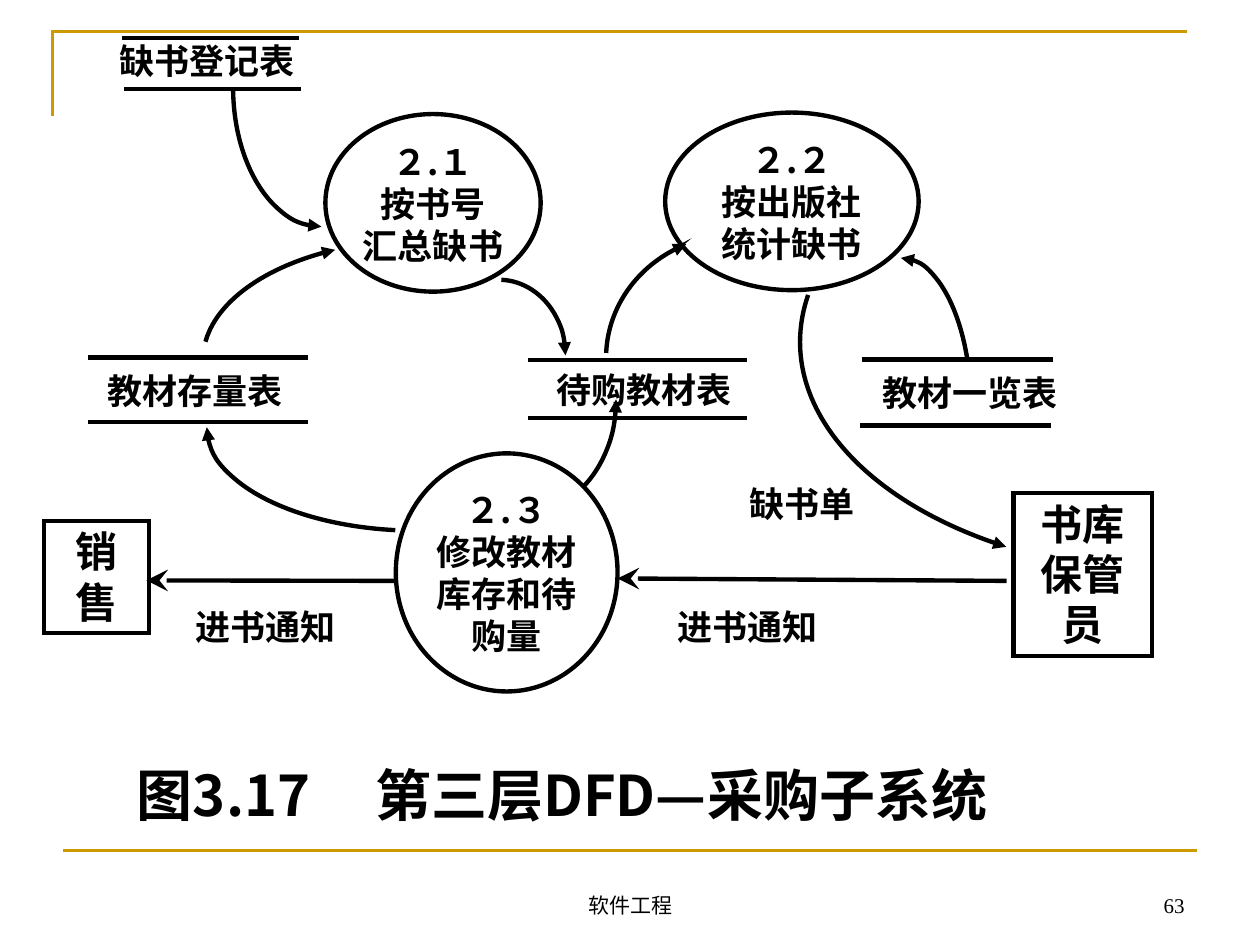
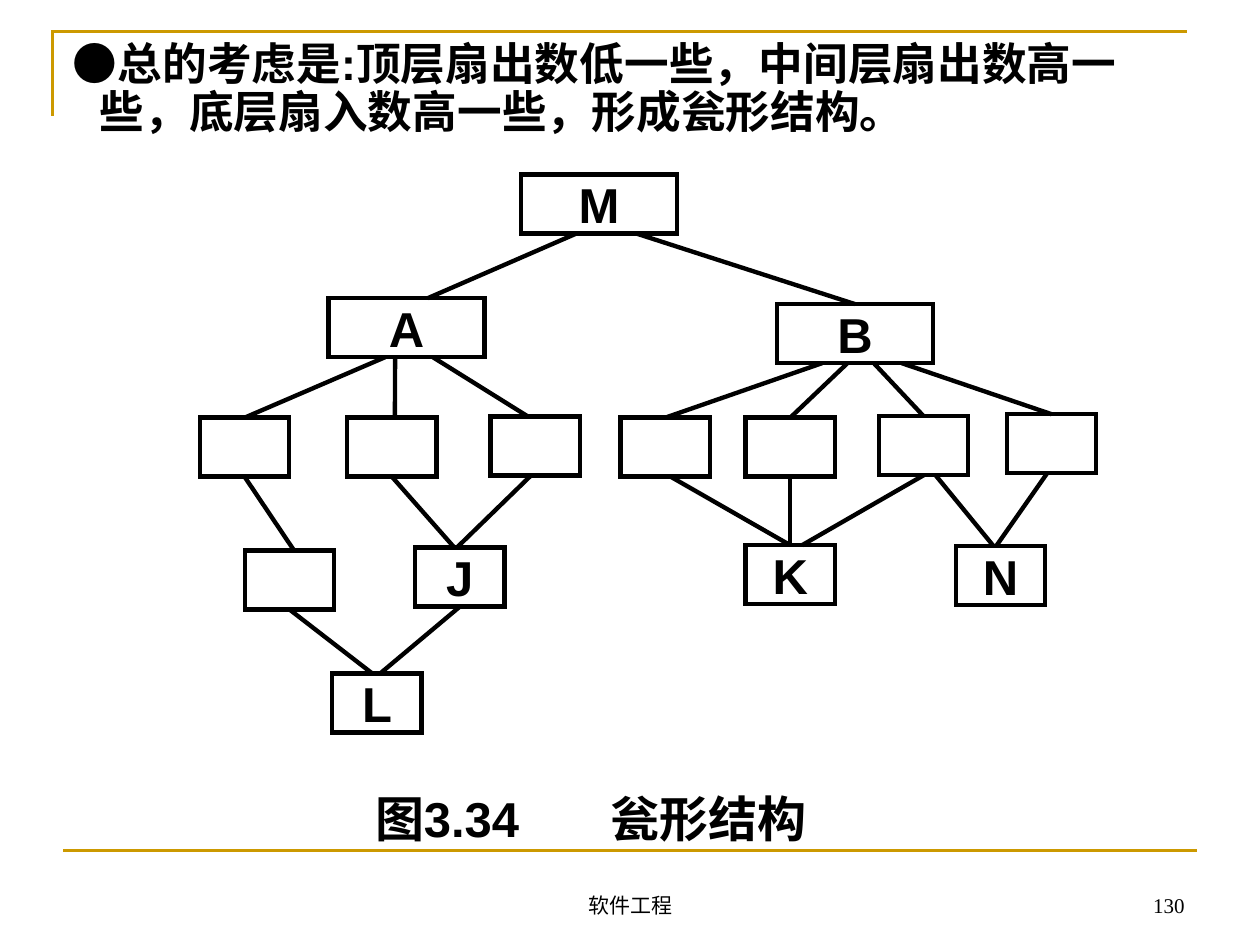
from lxml.etree import SubElement
from pptx import Presentation
from pptx.dml.color import RGBColor
from pptx.enum.shapes import MSO_CONNECTOR, MSO_SHAPE
from pptx.enum.text import MSO_ANCHOR, PP_ALIGN
from pptx.oxml.ns import qn
from pptx.util import Cm, Pt

BLACK, GOLD, WHITE = "000000", "CC9900", "FFFFFF"
CJK, SANS, SERIF = "Noto Sans CJK SC", "Arial", "Times New Roman"
LEFT, CENTER, RIGHT = PP_ALIGN.LEFT, PP_ALIGN.CENTER, PP_ALIGN.RIGHT
TOP, MIDDLE, BOTTOM = MSO_ANCHOR.TOP, MSO_ANCHOR.MIDDLE, MSO_ANCHOR.BOTTOM
TOP_SIDE, BOTTOM_SIDE = 0, 2
HEAD, TAIL = "a:headEnd", "a:tailEnd"


def rgb(color):
    return RGBColor.from_string(color)


def put_text(shape, text, size=20, font=CJK, bold=True, align=CENTER, anchor=TOP,
             inset=(0, 0), wrap=True, tab=None, hang=None, spacing=None):
    """Write text, one paragraph per line, into a shape. Lengths are in cm."""
    tf = shape.text_frame
    tf.word_wrap, tf.vertical_anchor = wrap, anchor
    tf.margin_left = tf.margin_right = Cm(inset[0])
    tf.margin_top = tf.margin_bottom = Cm(inset[1])
    for i, line_text in enumerate(text.split("\n")):
        p = tf.add_paragraph() if i else tf.paragraphs[0]
        p.alignment, p.space_before = align, Pt(0)
        if spacing:
            p.line_spacing = spacing
        pPr = p._p.get_or_add_pPr()
        if hang:
            pPr.set("marL", str(Cm(hang[0])))
            pPr.set("indent", str(Cm(hang[1])))
        if tab:
            tabs = SubElement(pPr, qn("a:tabLst"))
            SubElement(tabs, qn("a:tab"), pos=str(Cm(tab)), algn="l")
        r = p.add_run()
        r.text = line_text
        r.font.size, r.font.bold, r.font.name = Pt(size), bold, font
        r.font.color.rgb = rgb(BLACK)
        SubElement(r._r.get_or_add_rPr(), qn("a:ea"), typeface=CJK)


def text_box(s, x, y, w, h, text, **fmt):
    put_text(s.shapes.add_textbox(Cm(x), Cm(y), Cm(w), Cm(h)), text, **fmt)


def stroke(shape, color=BLACK, width=2.5, end=TAIL, arrow=None, arrow_size="med"):
    shape.line.color.rgb, shape.line.width = rgb(color), Pt(width)
    ln = shape._element.spPr.find(qn("a:ln"))
    SubElement(ln, qn("a:miter"), lim="800000")
    if arrow:
        SubElement(ln, qn(end), type=arrow, w=arrow_size, len=arrow_size)


def line(s, x1, y1, x2, y2, **fmt):
    c = s.shapes.add_connector(MSO_CONNECTOR.STRAIGHT, Cm(x1), Cm(y1), Cm(x2), Cm(y2))
    stroke(c, **fmt)
    SubElement(c._element.spPr, qn("a:effectLst"))
    return c


def corner(s, points, **fmt):
    """Open, unfilled outline through points in cm."""
    (x, y), *rest = [(Cm(px), Cm(py)) for px, py in points]
    builder = s.shapes.build_freeform(x, y, scale=1.0)
    builder.add_line_segments(rest, close=False)
    sp = builder.convert_to_shape()
    sp.fill.background()
    sp.shadow.inherit = False
    stroke(sp, **fmt)


def node(s, kind, x, y, w, h, text="", fill=None, **fmt):
    sp = s.shapes.add_shape(kind, Cm(x), Cm(y), Cm(w), Cm(h))
    sp.shadow.inherit = False
    if fill:
        sp.fill.solid()
        sp.fill.fore_color.rgb = rgb(fill)
    else:
        sp.fill.background()
    stroke(sp)
    if text:
        put_text(sp, text, **fmt)
    return sp


def arc_arrow(s, x, y, w, h, start, stop, end, rotation=0):
    """Clockwise arc of the ellipse in the box, from start to stop degrees."""
    sp = s.shapes.add_shape(MSO_SHAPE.ARC, Cm(x), Cm(y), Cm(w), Cm(h))
    for i, degrees in enumerate((start, stop)):
        sp.adjustments[i] = degrees * 0.6  # 60000 units a degree, scaled by 100000
    sp.rotation = rotation
    sp.fill.background()
    sp.shadow.inherit = False
    stroke(sp, end=end, arrow="triangle")


def new_slide(prs, number):
    """Title-only slide with the gold frame and the footer."""
    s = prs.slides.add_slide(prs.slide_layouts[5])
    corner(s, [(1.06, 2.33), (1.06, 0.63), (23.92, 0.63)], color=GOLD, width=1.5)
    line(s, 1.27, 17.15, 24.13, 17.15, color=GOLD, width=1.5)
    footer = dict(size=12, font=SERIF, bold=False, anchor=BOTTOM, inset=(0.25, 0.13))
    text_box(s, 8.68, 17.36, 8.05, 1.27, "软件工程", **footer)
    text_box(s, 18.21, 17.36, 5.92, 1.27, str(number), align=RIGHT, **footer)
    return s


def caption(s, x, y, w, h, text, **fmt):
    """Figure caption in the title placeholder; the tab parts number and name."""
    title = s.shapes.title
    title.left, title.top, title.width, title.height = Cm(x), Cm(y), Cm(w), Cm(h)
    put_text(title, text, align=LEFT, anchor=MIDDLE, inset=(0.2, 0.1), **fmt)


def label(s, center, y, text, w=1.8):
    text_box(s, center - w / 2, y, w, 0.84, text)


def data_store(s, x, y, w, h, text, dx, dy, skew=0):
    """Label between two rules; skew shifts the lower rule."""
    line(s, x, y, x + w, y)
    line(s, x + skew, y + h, x + w + skew, y + h)
    label(s, x + w / 2 + dx, y + dy, text, w=4.4)


def data_flow(s, x, y):
    # Data stores
    for sx, sy, w, h, text, dx, dy, skew in (
            (1.57, 0, 3.56, 1.04, "缺书登记表", -0.07, 0.03, 0.04),
            (0.89, 6.45, 4.42, 1.3, "教材存量表", -0.06, 0.23, 0),
            (9.75, 6.5, 4.42, 1.16, "待购教材表", 0.14, 0.16, 0),
            (16.48, 6.49, 3.86, 1.33, "教材一览表", 0.25, 0.24, -0.04)):
        data_store(s, x + sx, y + sy, w, h, text, dx, dy, skew)

    # Processes
    for px, py, w, h, text in (
            (7.09, 8.38, 4.47, 4.8, "２.３\n修改教材库存和待购量"),
            (5.67, 1.54, 4.34, 3.58, "２.１\n按书号\n汇总缺书"),
            (12.52, 1.51, 5.11, 3.58, "２.２\n按出版社\n统计缺书")):
        node(s, MSO_SHAPE.OVAL, x + px, y + py, w, h, text, fill=WHITE)

    # External entities
    for ex, ey, w, h, text in ((19.54, 9.18, 2.79, 3.28, "书库保管员"),
                               (0, 9.74, 2.11, 2.26, "销售")):
        node(s, MSO_SHAPE.RECTANGLE, x + ex, y + ey, w, h, text,
             size=24, inset=(0.23, 0.1))

    # Straight flows
    for x1, y1, x2, y2 in ((7.09, 10.95, 2.06, 10.94), (19.4, 10.95, 11.56, 10.9)):
        line(s, x + x1, y + y1, x + x2, y + y2, arrow="stealth", arrow_size="lg")

    # Curved flows
    for ax, ay, w, h, start, stop, end, rotation in (
            (3.81, -1.8, 3.56, 5.61, 90, 180, HEAD, 0),
            (3.2, 4.09, 8.69, 4.83, 185, 233, TAIL, 0),
            (7.82, 4.88, 2.69, 3.05, 272, 0, TAIL, 0),
            (11.33, 3.96, 5.36, 4.98, 182, 245, TAIL, 0),
            (14.22, 6.07, 6.1, 2.84, 180, 232, HEAD, 90),
            (15.24, 1.45, 15.75, 9.37, 132, 187, HEAD, 0),
            (3.28, 5.77, 8.48, 4.17, 102, 180, TAIL, 0),
            (8, 5.03, 3.53, 4.52, 0, 57, HEAD, 0)):
        arc_arrow(s, x + ax, y + ay, w, h, start, stop, end, rotation)

    # Flow labels
    for center, top, text in ((4.47, 11.45, "进书通知"), (14.18, 11.45, "进书通知"),
                              (15.27, 8.97, "缺书单")):
        label(s, x + center, y + top, text, w=3.8)


def link(s, upper, lower, dx1, dx2):
    """Line between facing sides, dx cm off their middles; joined where dx is 0."""
    c = line(s, (upper.left + upper.width / 2) / Cm(1) + dx1,
             (upper.top + upper.height) / Cm(1),
             (lower.left + lower.width / 2) / Cm(1) + dx2, lower.top / Cm(1))
    if not dx1:
        c.begin_connect(upper, BOTTOM_SIDE)
    if not dx2:
        c.end_connect(lower, TOP_SIDE)


def module_tree(s, x, y):
    # Modules: single-letter names show, numbered ones stay blank
    wide, narrow, height = 3.15, 1.8, 1.19
    places = {
        "M": (6.47, 0), "A": (2.59, 2.49), "B": (11.63, 2.61),
        "A1": (0, 4.9), "A2": (2.97, 4.9), "A3": (5.86, 4.88),
        "B1": (8.48, 4.9), "B2": (11, 4.9), "B3": (13.69, 4.87), "B4": (16.27, 4.83),
        "A4": (0.91, 7.58), "J": (4.34, 7.52), "K": (11, 7.47), "N": (15.24, 7.49),
        "L": (2.67, 10.06)}
    modules = {}
    for name, (mx, my) in places.items():
        modules[name] = node(
            s, MSO_SHAPE.RECTANGLE, x + mx, y + my, wide if name in "MAB" else narrow,
            height, name if len(name) == 1 else "", size=28, font=SANS,
            anchor=MIDDLE, inset=(0.2, 0.1), wrap=False)

    # Calls: caller, callee and the offset at each end
    for upper, lower, dx1, dx2 in (
            ("M", "A", -0.46, 0.43), ("M", "B", 0.76, 0),
            ("A", "A1", -0.43, 0), ("A", "A2", -0.23, 0.06), ("A", "A3", 0.53, -0.14),
            ("B", "B1", -0.66, 0), ("B", "B2", -0.15, 0),
            ("B", "B3", 0.38, 0), ("B", "B4", 0.94, 0),
            ("A1", "A4", 0, 0.09), ("A2", "J", 0, -0.11), ("A3", "J", -0.09, -0.06),
            ("B1", "K", 0.11, 0), ("B2", "K", 0, 0), ("B3", "K", 0, 0.24),
            ("B3", "N", 0.24, -0.14), ("B4", "N", -0.09, -0.09),
            ("A4", "L", 0, -0.09), ("J", "L", 0, 0.06)):
        link(s, modules[upper], modules[lower], dx1, dx2)


def main():
    prs = Presentation()
    prs.slide_width, prs.slide_height = Cm(25.4), Cm(19.05)

    # Data flow diagram
    s = new_slide(prs, 63)
    data_flow(s, 0.89, 0.76)
    caption(s, 2.56, 15.2, 19.1, 1.63, "图3.17\t第三层DFD—采购子系统",
            size=32, wrap=False, tab=4.8)

    # Module structure
    s = new_slide(prs, 130)
    text_box(s, 0.84, 0.74, 22.35, 2.51,
             "●总的考虑是:顶层扇出数低一些，中间层扇出数高一些，底层扇入数高一些，形成瓮形结构。",
             size=25.5, font=SANS, align=LEFT, inset=(0.2, 0.1),
             hang=(0.97, -0.54), spacing=0.9)
    module_tree(s, 4.03, 3.52)
    caption(s, 7.36, 15.78, 10.5, 1.4, "图3.34\t瓮形结构", size=28, font=SANS, tab=4.75)

    prs.save("out.pptx")


if __name__ == "__main__":
    main()
